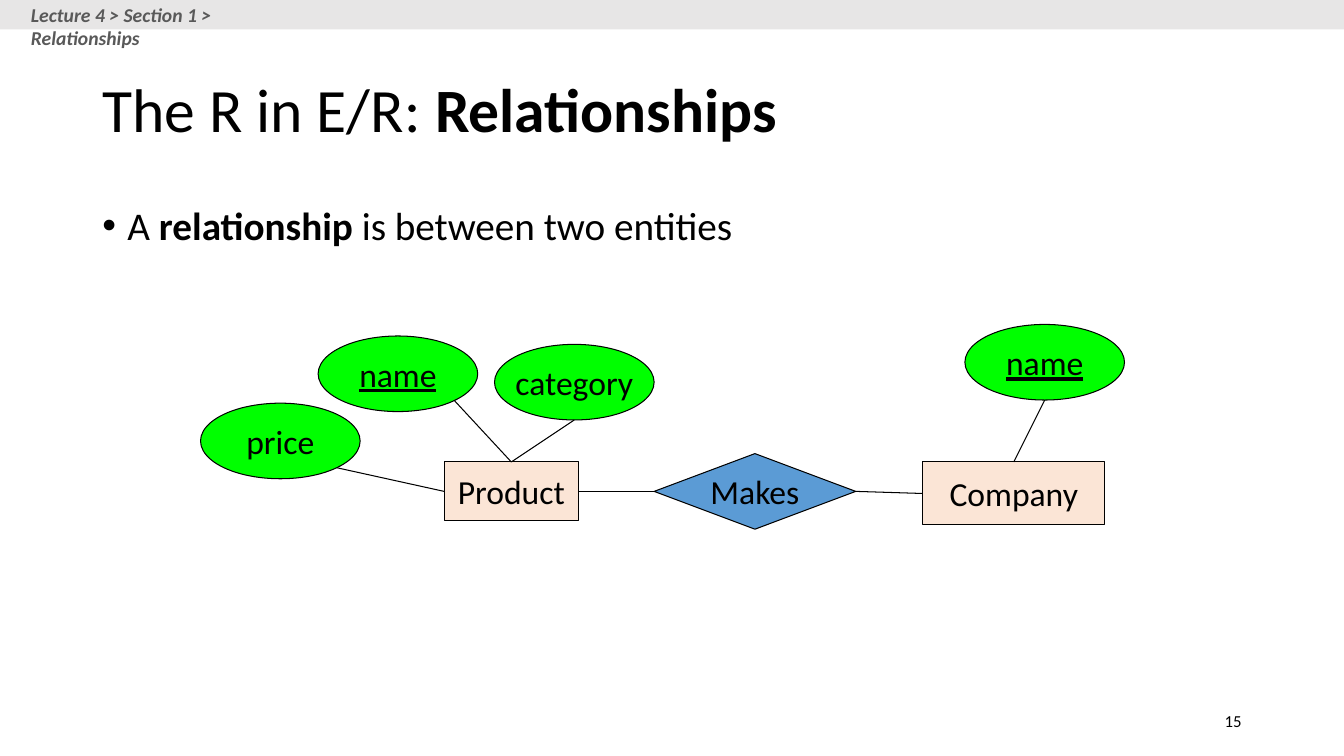
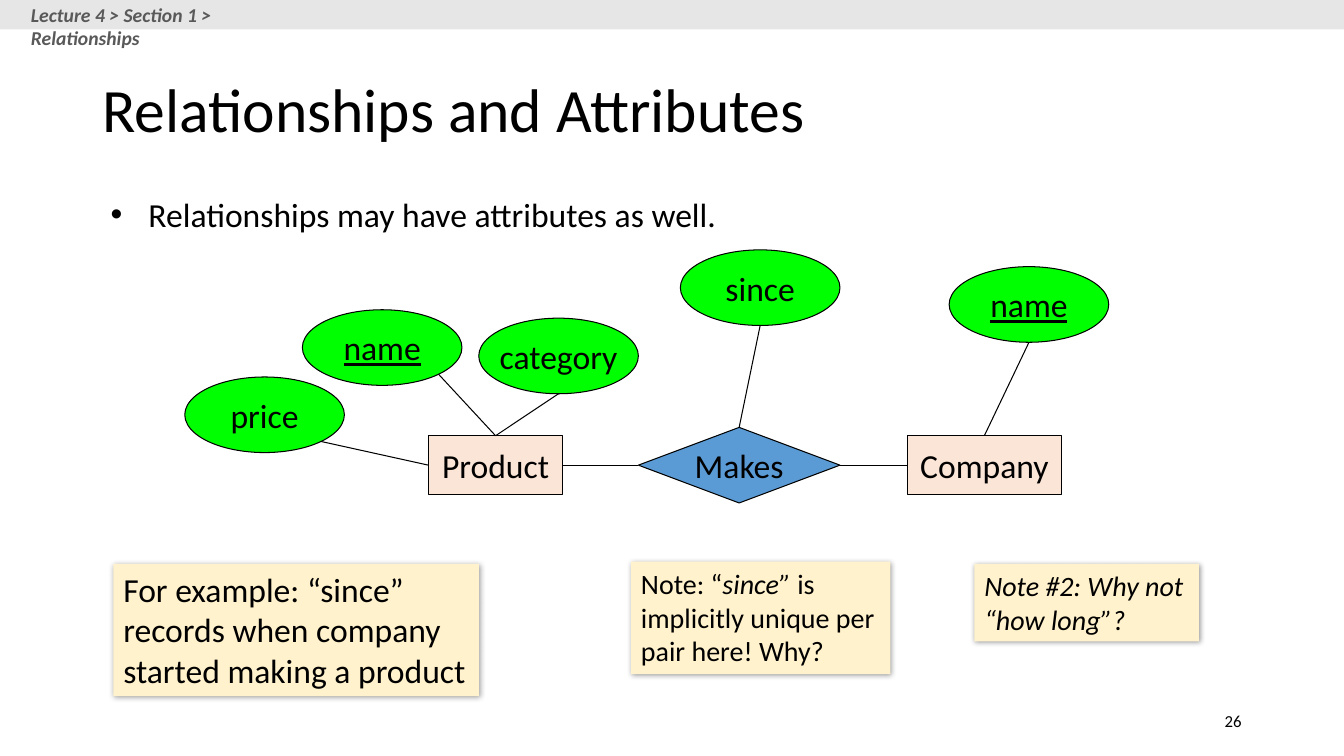
from dataclasses import dataclass
from math import sqrt

from lxml import etree
from pptx import Presentation
from pptx.dml.color import RGBColor
from pptx.enum.shapes import MSO_CONNECTOR, MSO_SHAPE
from pptx.enum.text import MSO_ANCHOR, PP_ALIGN
from pptx.oxml.ns import qn
from pptx.util import Pt

RECT, OVAL, GEM = MSO_SHAPE.RECTANGLE, MSO_SHAPE.OVAL, MSO_SHAPE.DIAMOND
LINE = MSO_CONNECTOR.STRAIGHT
TOP, MID = MSO_ANCHOR.TOP, MSO_ANCHOR.MIDDLE
LEFT, CENTER, RIGHT = PP_ALIGN.LEFT, PP_ALIGN.CENTER, PP_ALIGN.RIGHT
SCALE = 9525
DIAG = sqrt(0.5)


@dataclass(frozen=True)
class Theme:
    font: str = "Calibri"
    ink: str = "000000"
    band: str = "E7E6E6"
    trail: str = "595959"
    entity: str = "FBE5D6"
    field: str = "00FF00"
    link: str = "5B9BD5"
    note: str = "FFF2CC"
    title: int = 44
    body: int = 28
    label: int = 24
    aside: int = 20
    crumb: int = 14
    number: int = 12
    stroke: float = 0.75


THEME = Theme()


@dataclass(frozen=True)
class Box:
    x: int
    y: int
    w: int
    h: int

    def spot(self, dx, dy):
        return self.x + self.w * (1 + dx) / 2, self.y + self.h * (1 + dy) / 2

    def emu(self):
        return [px(v) for v in (self.x, self.y, self.w, self.h)]


PAGE = Box(0, 0, 1280, 720)


def px(n):
    return round(n * SCALE)


def color(code):
    return RGBColor.from_string(code)


def mark(font, style):
    if "b" in style:
        font.bold = True
    if "i" in style:
        font.italic = True
    if "u" in style:
        font.underline = True


def write(shape, runs, size, style="", ink=THEME.ink, align=LEFT,
          anchor=TOP, wrap=True, space=None, indent=0):
    frame = shape.text_frame
    frame.word_wrap = wrap
    frame.vertical_anchor = anchor
    para = frame.paragraphs[0]
    para.alignment = align
    if space:
        para.line_spacing = space
    if indent:
        props = para._p.get_or_add_pPr()
        props.set("marL", str(px(indent)))
        props.set("indent", str(-px(indent)))
        face = etree.SubElement(props, qn("a:buFont"))
        face.set("typeface", "Arial")
        etree.SubElement(props, qn("a:buChar")).set("char", "•")
    font = para.font
    font.name = THEME.font
    font.size = Pt(size)
    font.color.rgb = color(ink)
    mark(font, style)
    for text, look in runs:
        run = para.add_run()
        run.text = text
        mark(run.font, look)


def text(slide, box, runs, size, **kind):
    write(slide.shapes.add_textbox(*box.emu()), runs, size, **kind)


def block(slide, form, box, fill, stroke=False):
    shape = slide.shapes.add_shape(form, *box.emu())
    shape.shadow.inherit = False
    shape.fill.solid()
    shape.fill.fore_color.rgb = color(fill)
    if stroke:
        shape.line.color.rgb = color(THEME.ink)
        shape.line.width = Pt(THEME.stroke)
    else:
        shape.line.fill.background()
    return shape


def node(slide, form, box, fill, name, style=""):
    shape = block(slide, form, box, fill, True)
    write(shape, [(name, "")], THEME.label, style,
          align=CENTER, anchor=MID, wrap=False)
    return box


def join(slide, start, end):
    line = slide.shapes.add_connector(LINE, *map(px, (*start, *end)))
    line.line.color.rgb = color(THEME.ink)
    line.line.width = Pt(THEME.stroke)
    etree.SubElement(line._element.spPr, qn("a:effectLst"))


def field(slide, x, y, name, style=""):
    return node(slide, OVAL, Box(x, y, 152, 72), THEME.field, name, style)


def diagram(slide, x, y, firm, rise, since=False):
    goods = node(slide, RECT, Box(x, y, 128, 56), THEME.entity, "Product")
    name = field(slide, x - 120, y - 120, "name", "u")
    sort = field(slide, x + 48, y - 112, "category")
    price = field(slide, x - 232, y - 56, "price")
    maker = node(slide, RECT, Box(x + 456, y, *firm), THEME.entity, "Company")
    title = field(slide, x + 496, y - rise, "name", "u")
    makes = node(slide, GEM, Box(x + 200, y - 8, 192, 72), THEME.link, "Makes")
    pairs = [
        (price.spot(DIAG, DIAG), goods.spot(-1, 0)),
        (name.spot(DIAG, DIAG), goods.spot(0, -1)),
        (sort.spot(0, 1), goods.spot(0, -1)),
        (title.spot(0, 1), maker.spot(0, -1)),
        (goods.spot(1, 0), makes.spot(-1, 0)),
        (makes.spot(1, 0), maker.spot(-1, 0)),
    ]
    if since:
        date = field(slide, x + 240, y - 177, "since")
        pairs.append((date.spot(0, 1), makes.spot(0, -1)))
    for start, end in pairs:
        join(slide, start, end)


def note(slide, box, runs, size, style=""):
    shape = block(slide, RECT, box, THEME.note)
    glow = etree.SubElement(
        shape._element.spPr.find(qn("a:effectLst")), qn("a:outerShdw"),
        blurRad=str(Pt(4)), dist=str(Pt(1)), dir="2700000",
        algn="tl", rotWithShape="0")
    tint = etree.SubElement(glow, qn("a:srgbClr"), val=THEME.ink)
    etree.SubElement(tint, qn("a:alpha"), val="40000")
    write(shape, runs, size, style)


def base(deck, title, number):
    slide = deck.slides.add_slide(deck.slide_layouts[6])
    block(slide, RECT, Box(0, 0, PAGE.w, 28), THEME.band)
    text(slide, Box(20, -2, 260, 33),
         [("Lecture 4 > Section 1 > Relationships", "")],
         THEME.crumb, style="bi", ink=THEME.trail)
    text(slide, Box(88, 38, 1104, 139), title, THEME.title,
         anchor=MID, space=0.9)
    text(slide, Box(904, 667, 288, 38), [(number, "")], THEME.number,
         align=RIGHT, anchor=MID)
    return slide


def intro(deck):
    slide = base(deck, [("The R in E/R: ", ""), ("Relationships", "b")], "15")
    text(slide, Box(88, 192, 1104, 457),
         [("A ", ""), ("relationship", "b"),
          (" is between two entities", "")],
         THEME.body, space=0.9, indent=24)
    diagram(slide, 423, 440, (173, 60), 131)


def detail(deck):
    slide = base(deck, [("Relationships and Attributes", "")], "26")
    text(slide, Box(96, 180, 616, 48),
         [("Relationships may have attributes as well.", "")],
         THEME.label, indent=36)
    diagram(slide, 408, 415, (147, 56), 161, since=True)
    note(slide, Box(108, 537, 348, 126),
         [("For example: “since” records when company "
           "started making a product", "")], THEME.label)
    note(slide, Box(601, 535, 247, 107),
         [("Note: “", ""), ("since” ", "i"),
          ("is implicitly unique per pair here! Why?", "")], THEME.aside)
    note(slide, Box(928, 537, 214, 74),
         [("Note #2: Why not “how long”?", "")], THEME.aside, "i")


def main():
    deck = Presentation()
    deck.slide_width, deck.slide_height = px(PAGE.w), px(PAGE.h)
    intro(deck)
    detail(deck)
    deck.save("out.pptx")


if __name__ == "__main__":
    main()
